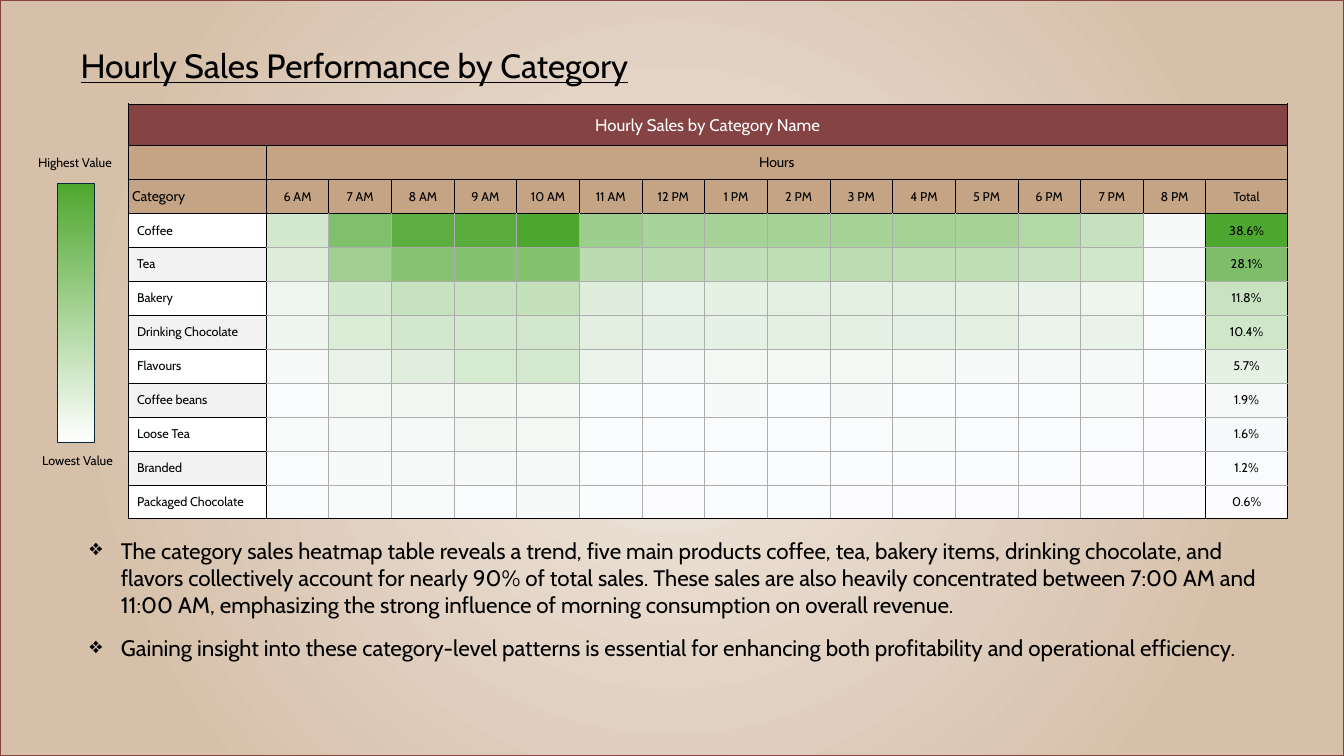
import lxml.etree
import pptx
import pptx.util
from pptx.dml.color import RGBColor
from pptx.enum.shapes import MSO_SHAPE
from pptx.enum.text import MSO_ANCHOR, PP_ALIGN
from pptx.oxml.ns import qn
from pptx.util import Inches

FONT = "Cabin"
COLORS = {
    "black": "000000",
    "white": "FFFFFF",
    "maroon": "854343",
    "banner": "854344",
    "tan": "C4A484",
    "stripe": "F2F2F2",
    "grid": "ADADAD",
    "high": "4EA72E",
    "low": "FCFCFF",
    "scale line": "092A39",
    "glow": "F0E8E0",
    "edge": "D6C0AA",
}
HOURS = ["6 AM", "7 AM", "8 AM", "9 AM", "10 AM", "11 AM", "12 PM", "1 PM",
         "2 PM", "3 PM", "4 PM", "5 PM", "6 PM", "7 PM", "8 PM"]
# Category, share of sales in percent, red channel of each hour's shade
SALES = [
    ("Coffee", 38.6, "D4 81 5D 5A 4E 9D A8 A6 A5 A5 A4 A6 B2 C5 F8"),
    ("Tea", 28.1, "DD A2 86 85 84 BA BA C1 BD BC BF BF C6 D0 F8"),
    ("Bakery", 11.8, "EF D3 C6 C6 C3 DF E7 E5 E4 E4 E4 E5 EA ED FB"),
    ("Drinking Chocolate", 10.4, "EE DB D2 D4 D2 E3 E6 E6 E4 E5 E6 E4 EB EA FB"),
    ("Flavours", 5.7, "F8 EA E0 D6 D5 EB F5 F4 F4 F4 F3 F7 F6 F5 FB"),
    ("Coffee beans", 1.9, "FA F3 F2 F2 F3 FA FA F8 FA F7 FA FA FA F9 FC"),
    ("Loose Tea", 1.6, "F9 F6 F5 F2 F4 FA FA FA FA FA F9 FA FA FA FC"),
    ("Branded", 1.2, "FA F7 F6 F6 F5 FA FB FB FB FB FB FB FB FC FC"),
    ("Packaged Chocolate", 0.6, "FB F9 F9 FB F8 FB FC FB FB FC FC FC FC FC FC"),
]
FINDINGS = [
    "The category sales heatmap table reveals a trend, five main products coffee, tea, "
    "bakery items, drinking chocolate, and flavors collectively account for nearly 90% of "
    "total sales. These sales are also heavily concentrated between 7:00 AM and 11:00 AM, "
    "emphasizing the strong influence of morning consumption on overall revenue.",
    "Gaining insight into these category-level patterns is essential for enhancing both "
    "profitability and operational efficiency.",
]
HEADER_ROWS = 3
LAST_ROW = HEADER_ROWS + len(SALES) - 1
TOTAL_COLUMN = len(HOURS) + 1


def rgb(name):
    return RGBColor.from_string(COLORS[name])


def heat(level):
    """Blend from the low colour (level 0) to the high colour (level 1)."""
    return RGBColor(*(round(low + (high - low) * level)
                      for low, high in zip(rgb("low"), rgb("high"))))


def style_text(para, size, color="black", align=PP_ALIGN.LEFT):
    para.alignment = align
    para.font.name = FONT
    para.font.size = pptx.util.Pt(size)
    para.font.color.rgb = rgb(color)


def set_gradient(fill, stops):
    fill.gradient()
    for stop, (position, color) in zip(fill.gradient_stops, stops):
        stop.position = position
        stop.color.rgb = rgb(color)


def paint_background(page):
    set_gradient(page.background.fill, [(0, "glow"), (0.78, "edge")])
    gradient = page.element.find(".//" + qn("a:gradFill"))
    gradient.remove(gradient.find(qn("a:lin")))
    path = lxml.etree.SubElement(gradient, qn("a:path"), path="circle")
    lxml.etree.SubElement(path, qn("a:fillToRect"),
                          {side: "50000" for side in "ltrb"})


def add_title(page, text):
    title = page.shapes.title
    title.left, title.top = Inches(0.7), Inches(0.4)
    title.width, title.height = Inches(6.95), Inches(0.5)
    title.text_frame.text = text
    title.text_frame.vertical_anchor = MSO_ANCHOR.TOP
    para = title.text_frame.paragraphs[0]
    style_text(para, 24)
    para.font.underline = True


def add_text(page, left, top, width, height, texts, size, bullet=None):
    box = page.shapes.add_textbox(Inches(left), Inches(top), Inches(width), Inches(height))
    frame = box.text_frame
    frame.word_wrap = True
    frame.text = "\n".join(texts)
    for para in frame.paragraphs:
        if bullet:
            properties = para._p.get_or_add_pPr()
            properties.set("marL", str(Inches(0.31)))
            properties.set("indent", str(Inches(-0.31)))
            lxml.etree.SubElement(properties, qn("a:buChar"), char=bullet)
            para.space_after = pptx.util.Pt(12)
        style_text(para, size)


def add_rectangle(page, left, top, width, height, line, weight):
    shape = page.shapes.add_shape(MSO_SHAPE.RECTANGLE, Inches(left), Inches(top),
                                  Inches(width), Inches(height))
    shape.shadow.inherit = False
    shape.fill.background()
    shape.line.color.rgb = rgb(line)
    shape.line.width = pptx.util.Pt(weight)
    return shape


def set_borders(cell, row, column):
    """Black around the headers, categories, hours and totals; grey inside."""
    framed = row < HEADER_ROWS or column == 0
    black_sides = {
        "L": framed or column in (1, TOTAL_COLUMN),
        "R": framed or column >= TOTAL_COLUMN - 1,
        "T": framed or row == HEADER_ROWS,
        "B": framed or row == LAST_ROW,
    }
    properties = cell._tc.get_or_add_tcPr()
    for side, black in black_sides.items():
        line = lxml.etree.SubElement(properties, qn("a:ln" + side),
                                     w=str(pptx.util.Pt(0.5)))
        solid = lxml.etree.SubElement(line, qn("a:solidFill"))
        lxml.etree.SubElement(solid, qn("a:srgbClr"),
                              val=COLORS["black" if black else "grid"])


def fill_cell(cell, fill, text="", size=9, color="black", align=PP_ALIGN.CENTER, indent=0.01):
    cell.fill.solid()
    cell.fill.fore_color.rgb = fill
    cell.vertical_anchor = MSO_ANCHOR.MIDDLE
    cell.margin_left = Inches(indent)
    cell.margin_right = cell.margin_top = Inches(0.01)
    cell.margin_bottom = 0
    cell.text = text
    style_text(cell.text_frame.paragraphs[0], size, color, align)


def add_heatmap(page):
    width, height = 11.5, 4.12
    category_width, total_width, banner_height = 1.37, 0.81, 0.41
    table = page.shapes.add_table(LAST_ROW + 1, TOTAL_COLUMN + 1, Inches(1.27), Inches(1.03),
                                  Inches(width), Inches(height)).table
    table.first_row = table.horz_banding = False
    for column in table.columns:
        column.width = Inches((width - category_width - total_width) / len(HOURS))
    table.columns[0].width = Inches(category_width)
    table.columns[TOTAL_COLUMN].width = Inches(total_width)
    for row in table.rows:
        row.height = Inches((height - banner_height) / LAST_ROW)
    table.rows[0].height = Inches(banner_height)

    for row in range(LAST_ROW + 1):
        for column in range(TOTAL_COLUMN + 1):
            set_borders(table.cell(row, column), row, column)
    table.cell(0, 0).merge(table.cell(0, TOTAL_COLUMN))
    table.cell(1, 1).merge(table.cell(1, TOTAL_COLUMN))

    fill_cell(table.cell(0, 0), rgb("banner"), "Hourly Sales by Category Name", 12, "white")
    fill_cell(table.cell(1, 0), rgb("tan"))
    fill_cell(table.cell(1, 1), rgb("tan"), "Hours", 10)
    fill_cell(table.cell(2, 0), rgb("tan"), "Category", 10, align=PP_ALIGN.LEFT, indent=0.04)
    for column, label in enumerate(HOURS + ["Total"], 1):
        fill_cell(table.cell(2, column), rgb("tan"), label)

    shares = [share for _, share, _ in SALES]
    lightest, darkest = rgb("low")[0], rgb("high")[0]
    for index, (category, share, reds) in enumerate(SALES):
        row = HEADER_ROWS + index
        fill_cell(table.cell(row, 0), rgb("stripe" if index % 2 else "white"), category,
                  align=PP_ALIGN.LEFT, indent=0.09)
        for column, red in enumerate(reds.split(), 1):
            level = (lightest - int(red, 16)) / (lightest - darkest)
            fill_cell(table.cell(row, column), heat(level))
        level = (share - min(shares)) / (max(shares) - min(shares))
        fill_cell(table.cell(row, TOTAL_COLUMN), heat(level), f"{share}%")


def add_color_scale(page):
    scale = add_rectangle(page, 0.57, 1.82, 0.36, 2.57, "scale line", 0.25)
    set_gradient(scale.fill, [(0, "white"), (1, "high")])
    scale.fill.gradient_angle = 90
    add_text(page, 0.28, 1.49, 1.02, 0.25, ["Highest Value"], 9)
    add_text(page, 0.32, 4.44, 0.97, 0.25, ["Lowest Value"], 9)


def main():
    deck = pptx.Presentation()
    deck.slide_width, deck.slide_height = Inches(13.33), Inches(7.5)
    page = deck.slides.add_slide(deck.slide_layouts[5])
    paint_background(page)
    add_title(page, "Hourly Sales Performance by Category")
    add_heatmap(page)
    add_color_scale(page)
    add_text(page, 0.79, 5.28, 11.79, 1.62, FINDINGS, 16, bullet="❖")
    add_rectangle(page, 0, 0, 13.33, 7.5, "maroon", 1.5)
    deck.save("out.pptx")


if __name__ == "__main__":
    main()
